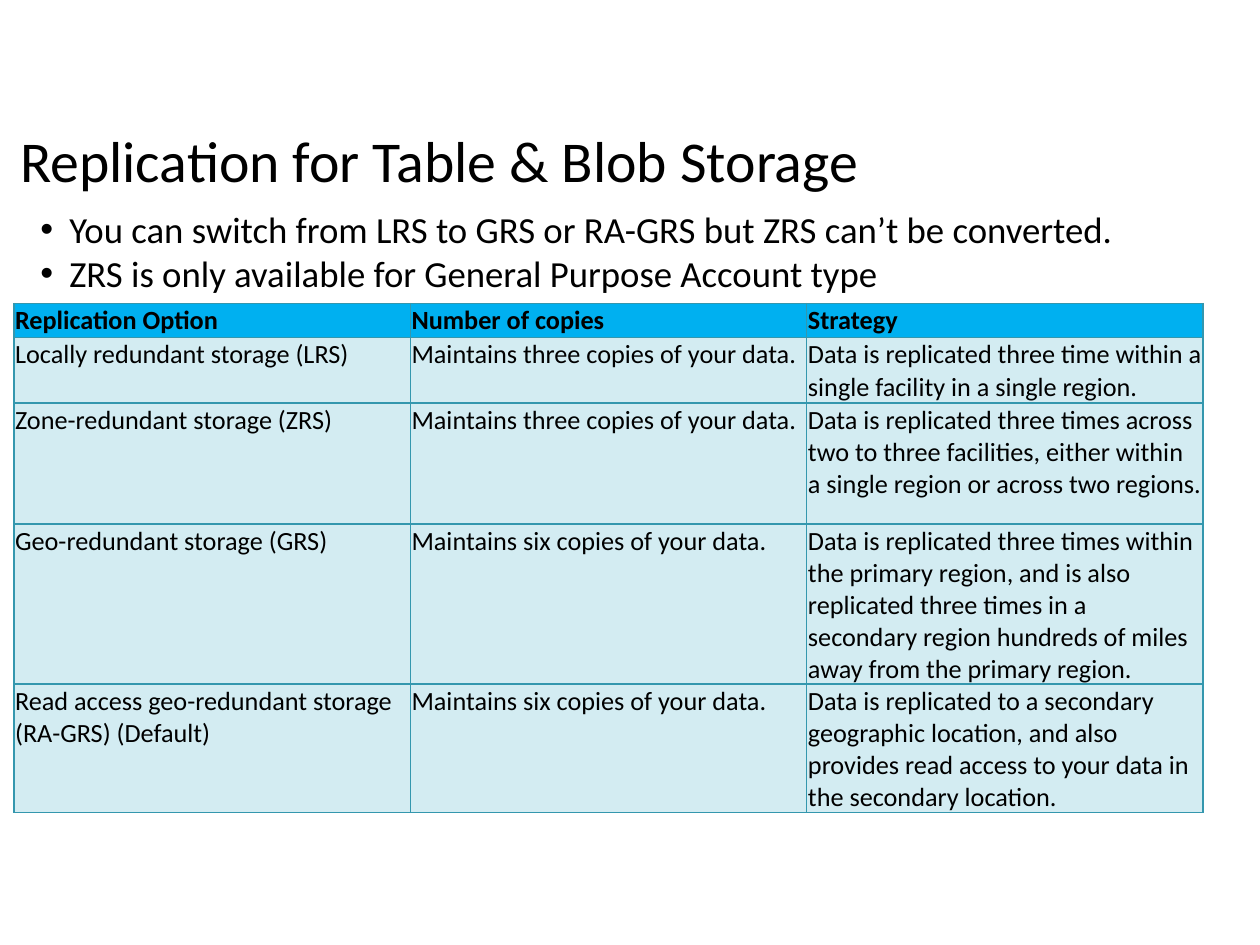
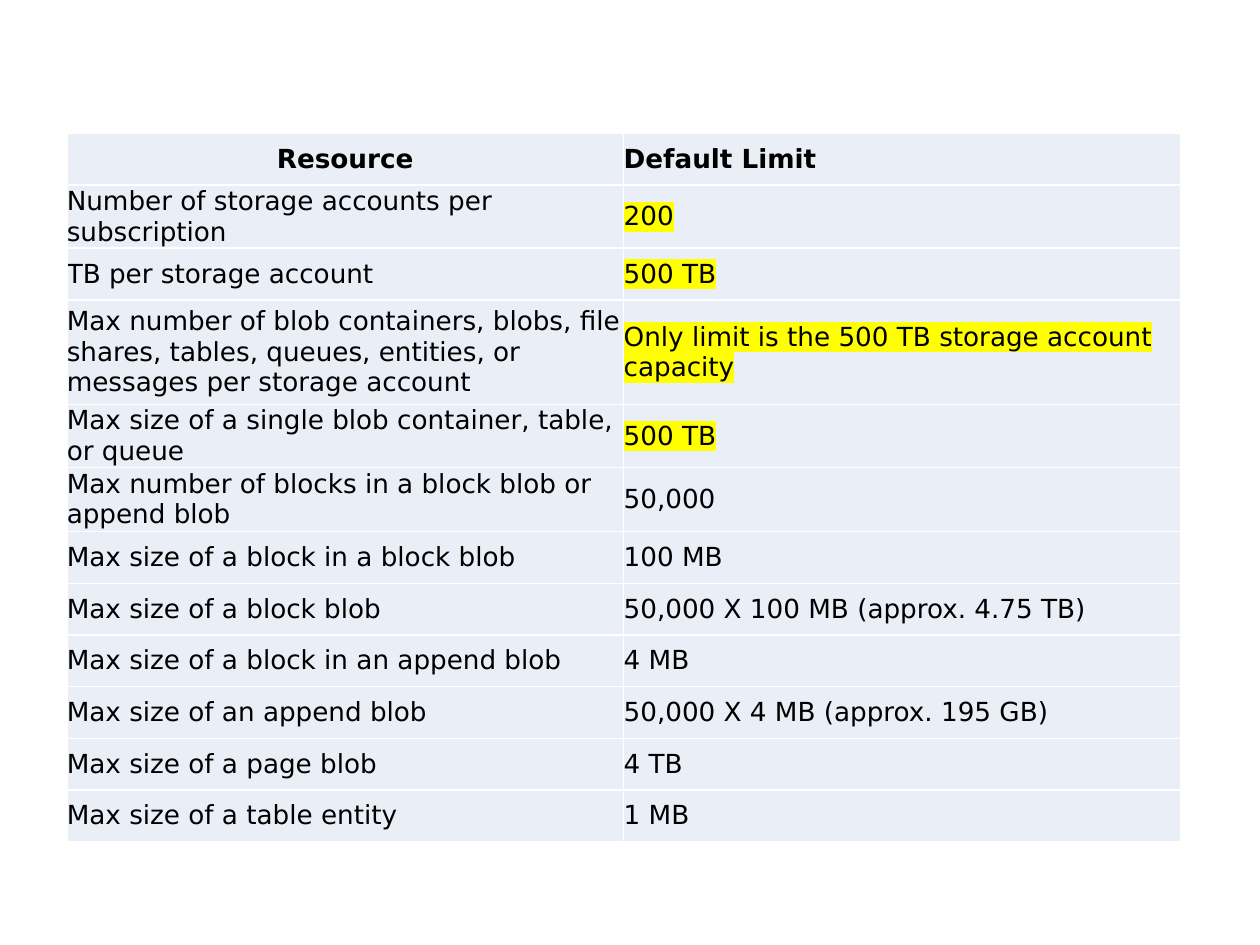
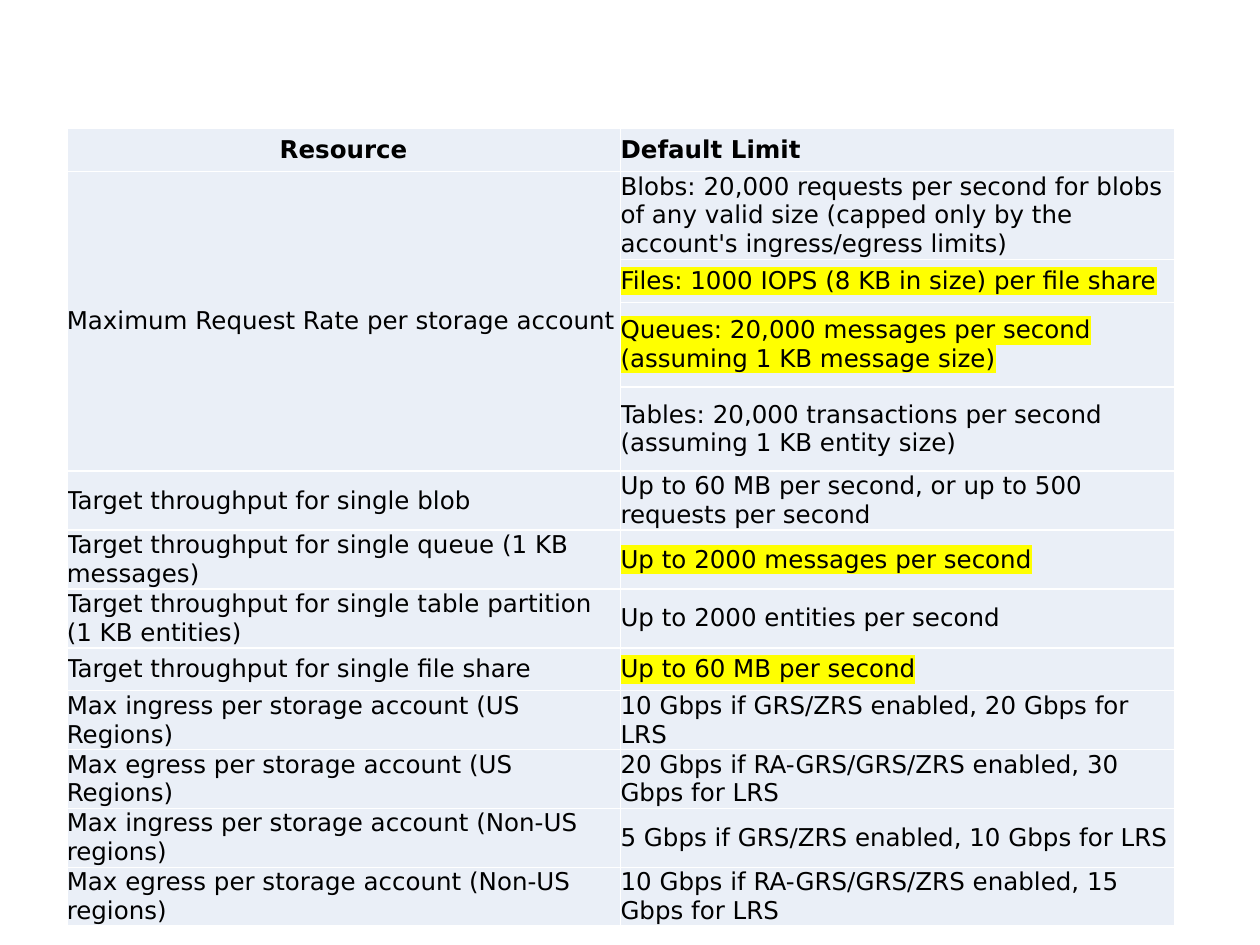
from dataclasses import dataclass

from lxml.etree import SubElement
from pptx import Presentation
from pptx.dml.color import RGBColor
from pptx.enum.text import MSO_ANCHOR, MSO_AUTO_SIZE, PP_ALIGN
from pptx.oxml.ns import qn
from pptx.util import Inches, Pt


@dataclass(frozen=True)
class Theme:
    ink: str = "000000"
    mark: str = "FFFF00"
    sans: str = "Calibri"
    title: int = 33
    body: int = 21


@dataclass(frozen=True)
class Grid:
    """Look of one kind of table."""
    head: str
    fill: str
    line: str
    font: str
    inset: float
    anchor: MSO_ANCHOR
    first: PP_ALIGN  # alignment of the first heading


THEME = Theme()
COPIES = Grid("00B0F0", "D3ECF2", "3497AE", "Calibri", 0.01,
              MSO_ANCHOR.TOP, PP_ALIGN.LEFT)
LIMITS = Grid("EAEFF7", "EAEFF7", "FFFFFF", "DejaVu Sans", 0,
              MSO_ANCHOR.MIDDLE, PP_ALIGN.CENTER)

POINTS = [
    "You can switch from LRS to GRS or RA-GRS but ZRS can’t be converted.",
    "ZRS is only available for General Purpose Account type",
]
OPTIONS = [
    ("Replication Option", "Number of copies", "Strategy"),
    ("Locally redundant storage (LRS)", "Maintains three copies of your data.",
     "Data is replicated three time within a single facility in a single region."),
    ("Zone-redundant storage (ZRS)", "Maintains three copies of your data.",
     "Data is replicated three times across two to three facilities, "
     "either within a single region or across two regions."),
    ("Geo-redundant storage (GRS)", "Maintains six copies of your data.",
     "Data is replicated three times within the primary region, and is also replicated "
     "three times in a secondary region hundreds of miles away from the primary region."),
    ("Read access geo-redundant storage (RA-GRS) (Default)",
     "Maintains six copies of your data.",
     "Data is replicated to a secondary geographic location, and also provides "
     "read access to your data in the secondary location."),
]
HEADS = ("Resource", "Default Limit")
SIZES = [
    HEADS,
    ("Number of storage accounts per subscription", "200"),
    ("TB per storage account", "500 TB"),
    ("Max number of blob containers, blobs, file shares, tables, queues, entities, "
     "or messages per storage account",
     "Only limit is the 500 TB storage account capacity"),
    ("Max size of a single blob container, table, or queue", "500 TB"),
    ("Max number of blocks in a block blob or append blob", "50,000"),
    ("Max size of a block in a block blob", "100 MB"),
    ("Max size of a block blob", "50,000 X 100 MB (approx. 4.75 TB)"),
    ("Max size of a block in an append blob", "4 MB"),
    ("Max size of an append blob", "50,000 X 4 MB (approx. 195 GB)"),
    ("Max size of a page blob", "4 TB"),
    ("Max size of a table entity", "1 MB"),
]
RATES = [
    HEADS,
    ("Maximum Request Rate per storage account",
     "Blobs: 20,000 requests per second for blobs of any valid size "
     "(capped only by the account's ingress/egress limits)"),
    (None, "Files: 1000 IOPS (8 KB in size) per file share"),
    (None, "Queues: 20,000 messages per second (assuming 1 KB message size)"),
    (None, "Tables: 20,000 transactions per second (assuming 1 KB entity size)"),
    ("Target throughput for single blob",
     "Up to 60 MB per second, or up to 500 requests per second"),
    ("Target throughput for single queue (1 KB messages)",
     "Up to 2000 messages per second"),
    ("Target throughput for single table partition (1 KB entities)",
     "Up to 2000 entities per second"),
    ("Target throughput for single file share", "Up to 60 MB per second"),
    ("Max ingress per storage account (US Regions)",
     "10 Gbps if GRS/ZRS enabled, 20 Gbps for LRS"),
    ("Max egress per storage account (US Regions)",
     "20 Gbps if RA-GRS/GRS/ZRS enabled, 30 Gbps for LRS"),
    ("Max ingress per storage account (Non-US regions)",
     "5 Gbps if GRS/ZRS enabled, 10 Gbps for LRS"),
    ("Max egress per storage account (Non-US regions)",
     "10 Gbps if RA-GRS/GRS/ZRS enabled, 15 Gbps for LRS"),
]


def place(shape, left, top, width, height):
    shape.left, shape.top = Inches(left), Inches(top)
    shape.width, shape.height = Inches(width), Inches(height)


def style(para, font, size, bold=False):
    for run in para.runs:
        run.font.name, run.font.size, run.font.bold = font, Pt(size), bold
        run.font.color.rgb = RGBColor.from_string(THEME.ink)


def add_title(slide, text, box):
    shape = slide.shapes.title
    place(shape, *box)
    frame = shape.text_frame
    frame.text = text
    frame.auto_size = MSO_AUTO_SIZE.NONE
    frame.vertical_anchor = MSO_ANCHOR.MIDDLE
    para = frame.paragraphs[0]
    para.alignment, para.line_spacing = PP_ALIGN.LEFT, 0.9
    style(para, THEME.sans, THEME.title)


def add_list(slide, items, box):
    shape = slide.placeholders[1]
    place(shape, *box)
    frame = shape.text_frame
    frame.text = "\n".join(items)
    frame.auto_size = MSO_AUTO_SIZE.SHAPE_TO_FIT_TEXT
    for para in frame.paragraphs:
        props = para._p.get_or_add_pPr()
        props.set("marL", str(Inches(0.23)))
        props.set("indent", str(Inches(-0.23)))
        SubElement(props, qn("a:buChar"), char="•")
        para.space_before = Pt(0)
        style(para, THEME.sans, THEME.body)


def add_color(parent, tag, color):
    node = SubElement(parent, qn(tag))
    SubElement(node, qn("a:srgbClr"), val=color)
    return node


def mark(para):
    for run in para.runs:
        props = run._r.get_or_add_rPr()
        light = add_color(props, "a:highlight", THEME.mark)
        props.find(qn("a:solidFill")).addnext(light)


def edge(cell, color):
    """Draw a thin line on all four sides of the cell."""
    props = cell._tc.get_or_add_tcPr()
    for spot, side in enumerate("LRTB"):
        line = SubElement(props, qn(f"a:ln{side}"), w=str(Pt(1)))
        add_color(line, "a:solidFill", color)
        props.insert(spot, line)


def paint(cell, grid, head):
    cell.fill.solid()
    cell.fill.fore_color.rgb = RGBColor.from_string(grid.head if head else grid.fill)
    edge(cell, grid.line)
    cell.vertical_anchor = grid.anchor
    cell.margin_left = cell.margin_right = Inches(grid.inset)
    cell.margin_top = cell.margin_bottom = Inches(grid.inset)


def add_grid(slide, grid, rows, spot, width, heights, size, marks=()):
    """Add a table; marks lists the rows whose last cell is highlighted."""
    count = len(rows[0])
    table = slide.shapes.add_table(
        len(rows), count, Inches(spot[0]), Inches(spot[1]),
        Inches(width), Inches(sum(heights))).table
    table.first_row = table.horz_banding = False
    for col in table.columns:
        col.width = Inches(width / count)
    for r, (texts, height) in enumerate(zip(rows, heights)):
        table.rows[r].height = Inches(height)
        for c, text in enumerate(texts):
            cell = table.cell(r, c)
            paint(cell, grid, r == 0)
            if text is None:
                continue
            cell.text_frame.text = text
            para = cell.text_frame.paragraphs[0]
            style(para, grid.font, size, bold=r == 0)
            if r in marks and c == count - 1:
                mark(para)
    table.cell(0, 0).text_frame.paragraphs[0].alignment = grid.first
    return table


def main():
    deck = Presentation()
    deck.slide_width, deck.slide_height = Inches(10), Inches(7.5)
    content, blank = deck.slide_layouts[1], deck.slide_layouts[6]

    slide = deck.slides.add_slide(content)
    add_title(slide, "Replication for Table & Blob Storage", (0.06, 0.94, 9.2, 0.72))
    add_grid(slide, COPIES, OPTIONS, (0.11, 2.41), 9.44,
             [0.27, 0.52, 0.96, 1.27, 1.02], 15)
    add_list(slide, POINTS, (0.22, 1.59, 8.96, 0.81))

    slide = deck.slides.add_slide(blank)
    add_grid(slide, LIMITS, SIZES, (0.53, 1.06), 8.84,
             [0.41] * 3 + [0.83, 0.41, 0.51] + [0.41] * 6, 15, {1, 2, 3, 4})

    slide = deck.slides.add_slide(blank)
    table = add_grid(slide, LIMITS, RATES, (0.53, 1.02), 8.79,
                     [0.34, 0.67, 0.34, 0.67, 0.67, 0.45] + [0.34] * 7, 14, {2, 3, 6, 8})
    table.cell(1, 0).merge(table.cell(4, 0))

    deck.save("out.pptx")


if __name__ == "__main__":
    main()
